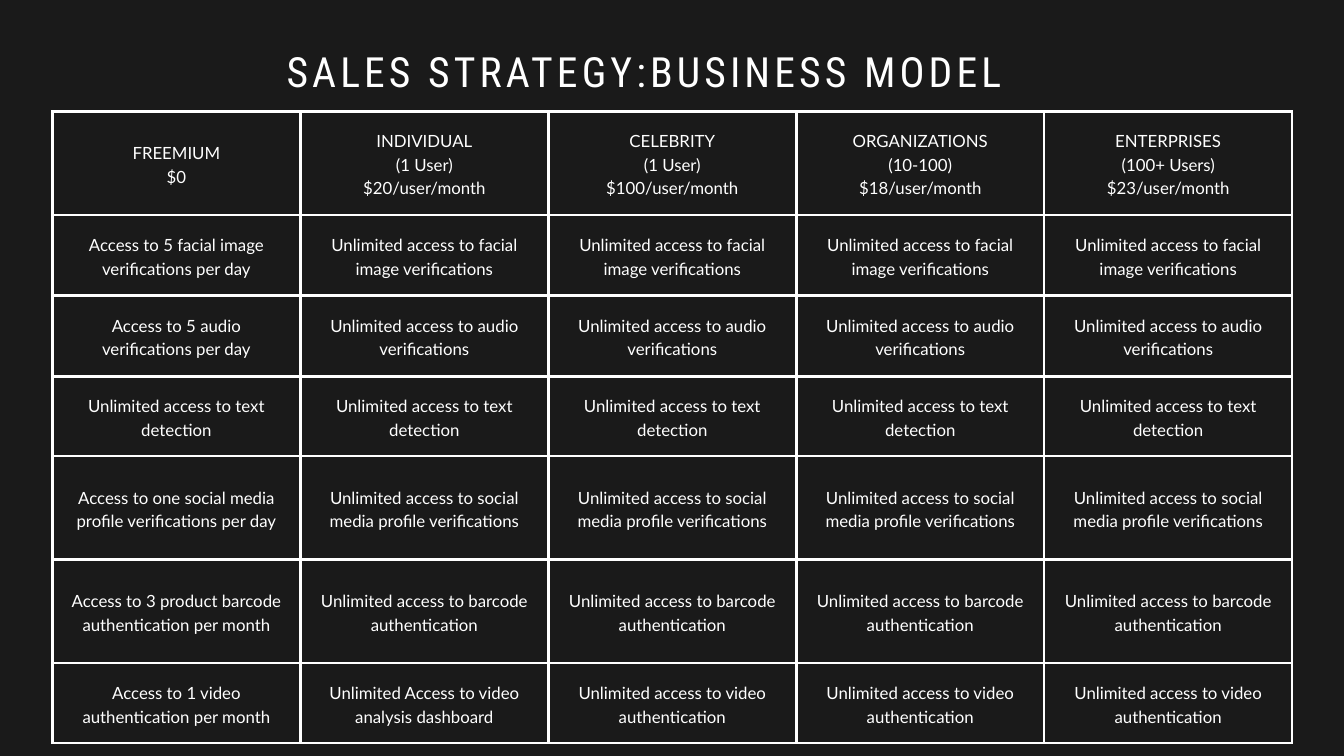
from lxml import etree
from pptx import Presentation
from pptx.dml.color import RGBColor
from pptx.enum.text import MSO_ANCHOR, MSO_AUTO_SIZE, PP_ALIGN
from pptx.oxml.ns import qn
from pptx.util import Inches, Pt

COLORS = {"background": "1A1A1A", "text": "FFFFFF", "border": "FFFFFF"}
ROW_HEIGHTS = [1.54, 1.2, 1.2, 1.19, 1.54, 1.54, 1.19]
COLUMN_WIDTH = 3.69

PLANS = [
    "FREEMIUM\n$0",
    "INDIVIDUAL\n(1 User)\n$20/user/month",
    "CELEBRITY\n(1 User)\n$100/user/month",
    "ORGANIZATIONS\n(10-100)\n$18/user/month",
    "ENTERPRISES\n(100+ Users)\n$23/user/month",
]
FEATURES = [
    ("Access to 5 facial image verifications per day",
     "Unlimited access to facial image verifications"),
    ("Access to 5 audio verifications per day",
     "Unlimited access to audio verifications"),
    ("Unlimited access to text detection",
     "Unlimited access to text detection"),
    ("Access to one social media profile verifications per day",
     "Unlimited access to social media profile verifications"),
    ("Access to 3 product barcode authentication per month",
     "Unlimited access to barcode authentication"),
    ("Access to 1 video authentication per month",
     "Unlimited access to video authentication"),
]


class PageBuilder:
    title_style = {"name": "Roboto Condensed", "size": Pt(44.6), "bold": False}
    cell_style = {"name": "Lato", "size": Pt(18), "bold": False}

    def __init__(self, deck):
        self.page = deck.slides.add_slide(deck.slide_layouts[5])
        self.paint(self.page.background.fill, "background")

    def paint(self, fill, color):
        fill.solid()
        fill.fore_color.rgb = RGBColor.from_string(COLORS[color])

    def fill_text(self, frame, text, style, line_spacing, tracking=0):
        frame.text = text
        for para in frame.paragraphs:
            para.alignment = PP_ALIGN.CENTER
            para.line_spacing = Pt(line_spacing)
            for span in para.runs:
                for name, value in style.items():
                    setattr(span.font, name, value)
                span.font.color.rgb = RGBColor.from_string(COLORS["text"])
                if tracking:
                    span._r.get_or_add_rPr().set("spc", str(tracking))

    def title(self, text, left, top, width, height):
        box = self.page.shapes.title
        place = {"left": left, "top": top, "width": width, "height": height}
        for name, value in place.items():
            setattr(box, name, Inches(value))
        frame = box.text_frame
        layout = {
            "margin_left": 0, "margin_right": 0,
            "margin_top": 0, "margin_bottom": 0,
            "vertical_anchor": MSO_ANCHOR.TOP, "word_wrap": True,
            "auto_size": MSO_AUTO_SIZE.SHAPE_TO_FIT_TEXT,
        }
        for name, value in layout.items():
            setattr(frame, name, value)
        self.fill_text(frame, text, self.title_style, 61.5, tracking=440)

    def border(self, cell, width):
        properties = cell._tc.get_or_add_tcPr()
        for position, side in enumerate(("lnL", "lnR", "lnT", "lnB")):
            line = etree.Element(qn(f"a:{side}"), w=str(Pt(width)))
            fill = etree.SubElement(line, qn("a:solidFill"))
            etree.SubElement(fill, qn("a:srgbClr"), val=COLORS["border"])
            properties.insert(position, line)

    def table(self, rows, left, top):
        count = len(rows[0])
        table = self.page.shapes.add_table(
            len(rows), count, Inches(left), Inches(top),
            Inches(COLUMN_WIDTH * count), Inches(sum(ROW_HEIGHTS))).table
        table.first_row = False
        table.horz_banding = False
        for column in table.columns:
            column.width = Inches(COLUMN_WIDTH)
        for row, height, texts in zip(table.rows, ROW_HEIGHTS, rows):
            row.height = Inches(height)
            for cell, text in zip(row.cells, texts):
                self.cell(cell, text)

    def cell(self, cell, text):
        for side in ("left", "right", "top", "bottom"):
            setattr(cell, f"margin_{side}", Inches(0.21))
        cell.vertical_anchor = MSO_ANCHOR.MIDDLE
        self.paint(cell.fill, "background")
        self.border(cell, 3)
        self.fill_text(cell.text_frame, text, self.cell_style, 25.2)


def main():
    deck = Presentation()
    deck.slide_width = Inches(20)
    deck.slide_height = Inches(11.25)
    rows = [PLANS] + [[free] + [paid] * 4 for free, paid in FEATURES]
    rows[-1][1] = "Unlimited Access to video analysis dashboard"
    builder = PageBuilder(deck)
    builder.table(rows, 0.78, 1.66)
    builder.title("SALES STRATEGY:BUSINESS MODEL", 4.1, 0.57, 10.98, 0.83)
    deck.save("out.pptx")


if __name__ == "__main__":
    main()
